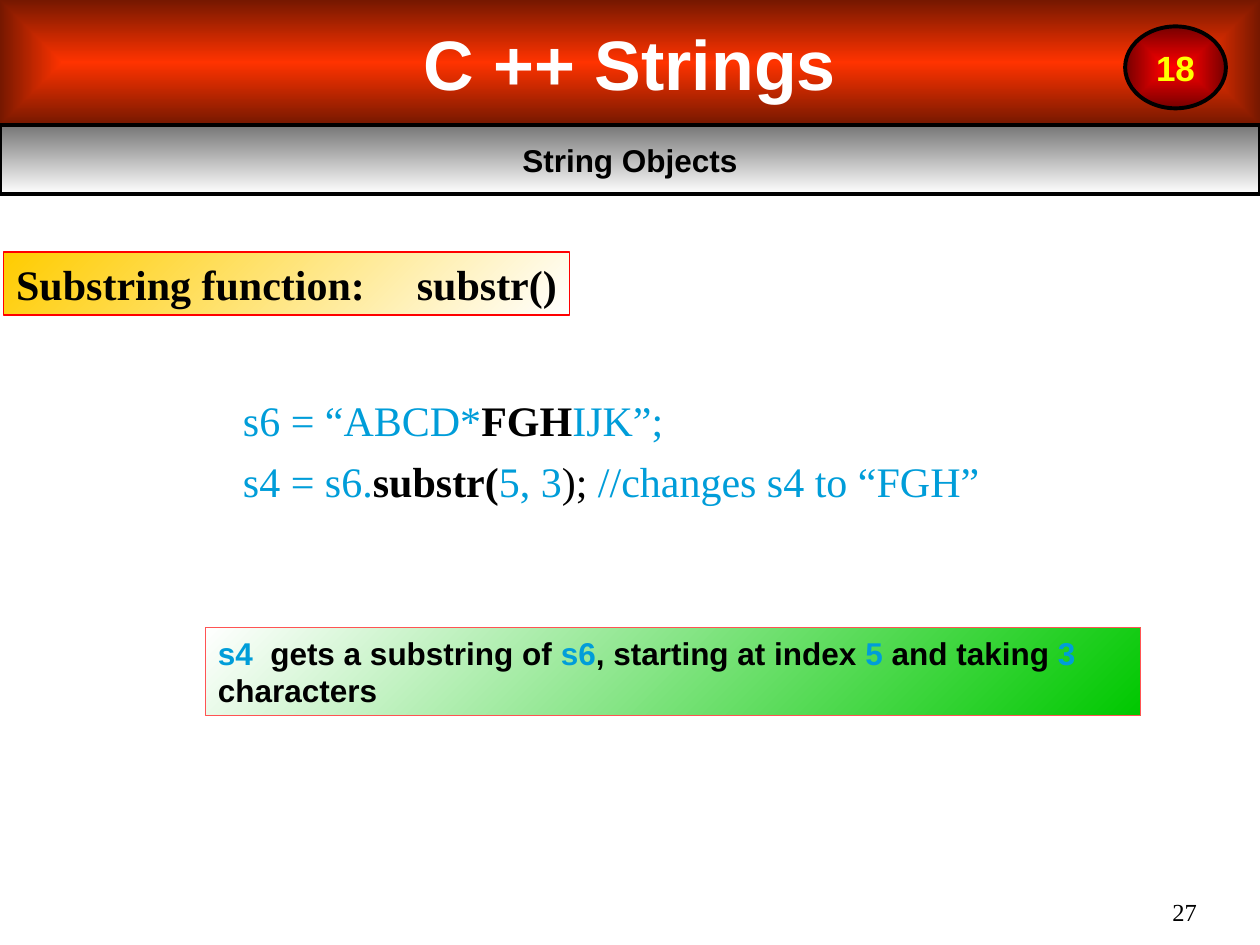
"""Build the slide on the substr function of C++ strings."""
from lxml.etree import SubElement
from pptx import Presentation
from pptx.dml.color import RGBColor
from pptx.enum.shapes import MSO_SHAPE
from pptx.enum.text import MSO_ANCHOR, PP_ALIGN
from pptx.oxml.ns import qn
from pptx.util import Inches, Pt

BLACK = RGBColor(0x00, 0x00, 0x00)
WHITE = RGBColor(0xFF, 0xFF, 0xFF)
YELLOW = RGBColor(0xFF, 0xFF, 0x00)
RED = RGBColor(0xFF, 0x00, 0x00)
DARK_RED = RGBColor(0x76, 0x00, 0x00)
ORANGE_RED = RGBColor(0xFF, 0x33, 0x00)
BROWN = RGBColor(0x76, 0x18, 0x00)
GREY = RGBColor(0x76, 0x76, 0x76)
GOLD = RGBColor(0xFF, 0xCC, 0x00)
GREEN = RGBColor(0x00, 0xC8, 0x00)
CORAL = RGBColor(0xFF, 0x53, 0x53)
BLUE = RGBColor(0x00, 0x9D, 0xD9)

presentation = Presentation()
presentation.slide_width = Inches(10)
presentation.slide_height = Inches(7.5)
slide = presentation.slides.add_slide(presentation.slide_layouts[6])


def add_panel(kind, bounds, colors, angle, line_color, line_width):
    """Add a gradient shape; an angle of None makes the gradient rectangular."""
    shape = slide.shapes.add_shape(kind, *map(Inches, bounds))
    shape.shadow.inherit = False
    shape.fill.gradient()
    for stop, position, color in zip(shape.fill.gradient_stops, (0, 1), colors):
        stop.position = position
        stop.color.rgb = color
    if angle is None:
        gradient = shape._element.spPr.find(qn("a:gradFill"))
        gradient.remove(gradient.find(qn("a:lin")))
        rectangle = SubElement(gradient, qn("a:path"), path="rect")
        SubElement(rectangle, qn("a:fillToRect"), l="50000", t="50000", r="50000", b="50000")
    else:
        shape.fill.gradient_angle = angle
    if line_color is None:
        shape.line.fill.background()
    else:
        shape.line.color.rgb = line_color
        shape.line.width = Pt(line_width)
    shape.text_frame.word_wrap = True
    return shape


def write(paragraph, runs, font_name, size, bold, alignment=PP_ALIGN.LEFT):
    """Write (text, color) runs, with an optional third item for bold."""
    paragraph.alignment = alignment
    paragraph.font.name = font_name
    paragraph.font.size = Pt(size)
    paragraph.font.bold = bold
    for text, color, *emphasis in runs:
        run = paragraph.add_run()
        run.text = text
        run.font.color.rgb = color
        if emphasis:
            run.font.bold = emphasis[0]


number_box = slide.shapes.add_textbox(Inches(8.67), Inches(6.95), Inches(0.83), Inches(0.4))
number_frame = number_box.text_frame
number_frame.word_wrap = True
number_frame.vertical_anchor = MSO_ANCHOR.BOTTOM
number_frame.margin_left = number_frame.margin_right = 0
number_frame.margin_top = number_frame.margin_bottom = 0
write(number_frame.paragraphs[0], [("27", BLACK)], "Times New Roman", 14, False, PP_ALIGN.RIGHT)

headers = [
    (MSO_SHAPE.RECTANGLE, (0, 0, 10, 0.99), (ORANGE_RED, BROWN), None, None, "C ++ Strings", 40, WHITE),
    (MSO_SHAPE.RECTANGLE, (0, 0.99, 10, 0.55), (GREY, WHITE), 270, BLACK, "String Objects", 18, BLACK),
    (MSO_SHAPE.OVAL, (8.93, 0.21, 0.8, 0.65), (RED, DARK_RED), None, BLACK, "18", 20, YELLOW),
]
for kind, bounds, colors, angle, line_color, text, size, text_color in headers:
    header = add_panel(kind, bounds, colors, angle, line_color, 2.25)
    header.text_frame.vertical_anchor = MSO_ANCHOR.MIDDLE
    header.text_frame.word_wrap = kind != MSO_SHAPE.OVAL
    write(header.text_frame.paragraphs[0], [(text, text_color)], "Arial", size, True, PP_ALIGN.CENTER)

code_lines = [
    [("s6 = “ABCD*", BLUE), ("FGH", BLACK, True), ("IJK”;", BLUE)],
    [("s4 = s6.", BLUE), ("substr(", BLACK, True), ("5, 3", BLUE), (");", BLACK),
     (" //changes s4 to “FGH”", BLUE)],
]
code_box = slide.shapes.add_textbox(Inches(1.83), Inches(3.08), Inches(7.75), Inches(1.39))
code_frame = code_box.text_frame
code_frame.word_wrap = True
for index, runs in enumerate(code_lines):
    paragraph = code_frame.add_paragraph() if index else code_frame.paragraphs[0]
    paragraph.space_before = Pt(6 if index else 0)
    write(paragraph, runs, "Times New Roman", 24, False)

topic = add_panel(MSO_SHAPE.RECTANGLE, (0.03, 2, 4.49, 0.5), (GOLD, WHITE), 315, RED, 0.75)
topic.text_frame.vertical_anchor = MSO_ANCHOR.TOP
topic.text_frame.margin_right = 0
topic_paragraph = topic.text_frame.paragraphs[0]
tab_list = SubElement(topic_paragraph._p.get_or_add_pPr(), qn("a:tabLst"))
SubElement(tab_list, qn("a:tab"), pos=str(Inches(3.18)), algn="l")
write(topic_paragraph, [("Substring function:\tsubstr()", BLACK)], "Times New Roman", 24, True)

explanation = add_panel(MSO_SHAPE.RECTANGLE, (1.63, 4.98, 7.42, 0.7), (WHITE, GREEN), 315, CORAL, 0.75)
explanation.text_frame.vertical_anchor = MSO_ANCHOR.TOP
explanation_runs = [
    ("s4 ", BLUE), (" gets a substring of ", BLACK), ("s6", BLUE), (", starting at index ", BLACK),
    ("5", BLUE), (" and taking ", BLACK), ("3", BLUE), (" characters", BLACK),
]
write(explanation.text_frame.paragraphs[0], explanation_runs, "Arial", 18, True)

presentation.save("out.pptx")
